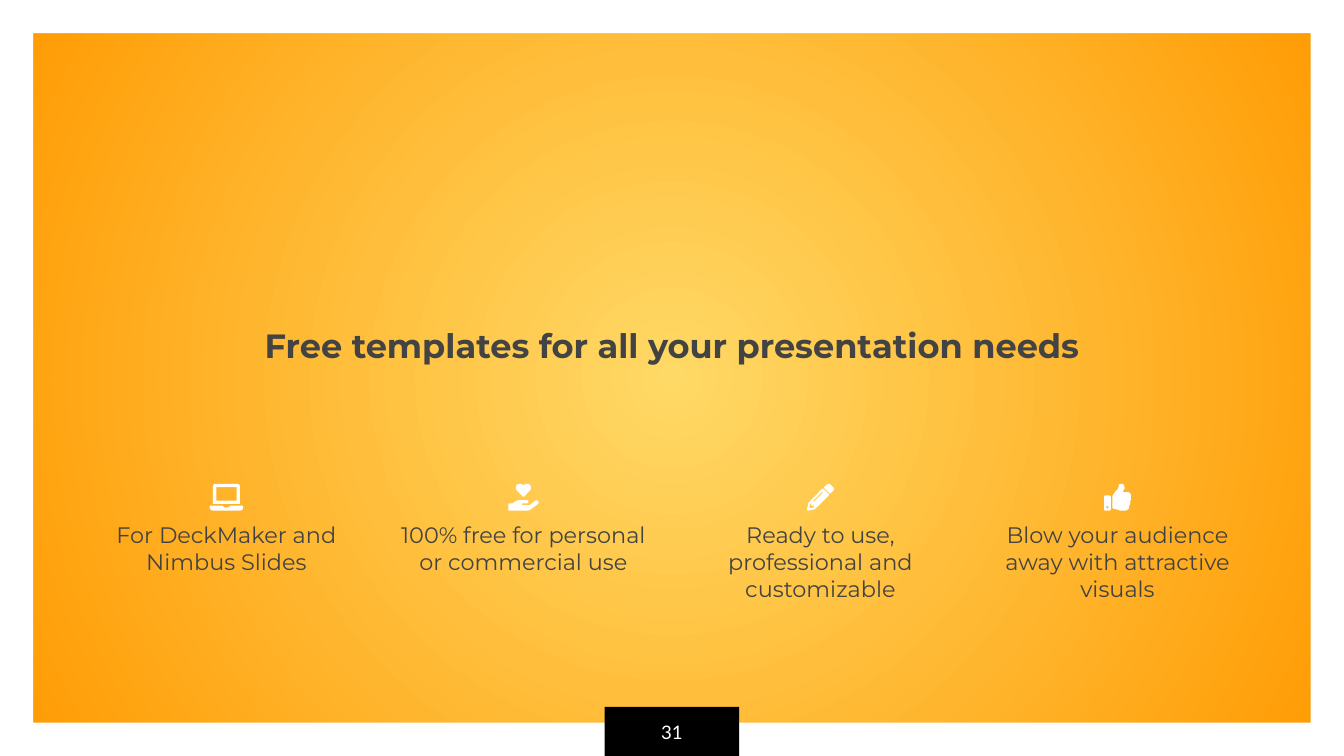
from lxml import etree
from pptx import Presentation
from pptx.dml.color import RGBColor
from pptx.enum.shapes import MSO_SHAPE
from pptx.enum.text import MSO_ANCHOR, MSO_AUTO_SIZE, PP_ALIGN
from pptx.oxml.ns import qn
from pptx.util import Inches, Pt

FRAME, RECTANGLE = MSO_SHAPE.FRAME, MSO_SHAPE.RECTANGLE
TOP, MIDDLE = MSO_ANCHOR.TOP, MSO_ANCHOR.MIDDLE
CENTER = PP_ALIGN.CENTER
NO_AUTOFIT = MSO_AUTO_SIZE.NONE

WHITE = RGBColor(0xFF, 0xFF, 0xFF)
BLACK = RGBColor(0x00, 0x00, 0x00)
GRAY = RGBColor(0x43, 0x43, 0x43)
YELLOW = RGBColor(0xFF, 0xD9, 0x66)
ORANGE = RGBColor(0xFF, 0x99, 0x00)

TITLE_ONLY = 5
SLIDE_W = 10
SLIDE_H = SLIDE_W * 9 / 16

# Feature columns, in inches
COLUMN_LEFT, COLUMN_STEP, COLUMN_W = 0.76, 2.21, 1.85
ICON_TOP, CAPTION_TOP, CAPTION_H = 3.6, 3.88, 0.7

# Icon outlines: closed contours in thousandths of an inch
ICON_UNIT = Inches(1) / 1000
LAPTOP = [
    # Lid, screen, base
    [(25, 150), (25, 18), (31, 5), (43, 0), (207, 0), (219, 5), (225, 18), (225, 150)],
    [(50, 25), (50, 125), (200, 125), (200, 25)],
    [(0, 168), (3, 163), (100, 163), (103, 172), (110, 175), (140, 175),
     (147, 172), (150, 163), (247, 163), (250, 168), (250, 175), (246, 189),
     (238, 197), (225, 200), (25, 200), (12, 197), (4, 189), (0, 175)],
]
HEART_IN_HAND = [
    # Heart, hand
    [(112, 13), (119, 6), (130, 0), (145, 0), (158, 6), (166, 17), (169, 30),
     (166, 42), (160, 51), (117, 95), (112, 97), (108, 95), (64, 51), (58, 42),
     (56, 30), (58, 17), (66, 6), (80, 0), (94, 0), (105, 6)],
    [(80, 122), (64, 125), (50, 131), (32, 146), (6, 146), (2, 148), (0, 152),
     (0, 194), (2, 198), (6, 200), (145, 200), (154, 198), (162, 194), (220, 151),
     (224, 146), (225, 138), (222, 129), (215, 124), (208, 122), (200, 125),
     (168, 152), (160, 157), (150, 159), (106, 159), (101, 157), (100, 152),
     (102, 148), (106, 146), (138, 146), (146, 143), (150, 136), (150, 129),
     (146, 124), (138, 122)],
]
PENCIL = [
    # Eraser, body, groove, tip
    [(127, 25), (147, 6), (155, 1), (163, 0), (172, 3), (194, 25), (199, 33),
     (200, 42), (196, 50), (176, 71), (172, 73), (168, 71), (127, 32)],
    [(114, 36), (11, 141), (0, 190), (2, 198), (9, 200), (58, 189), (162, 86),
     (164, 82), (162, 78), (122, 38), (118, 36)],
    [(114, 62), (117, 65), (116, 70), (55, 130), (50, 131), (47, 128), (48, 124),
     (108, 64)],
    [(32, 143), (32, 162), (50, 162), (50, 176), (25, 182), (18, 175), (23, 149)],
]
THUMB_UP = [
    # Cuff, button, hand
    [(9, 87), (3, 90), (0, 97), (0, 191), (3, 197), (9, 200), (41, 200),
     (47, 197), (50, 191), (50, 97), (47, 90), (41, 87)],
    [(25, 166), (32, 169), (34, 175), (32, 181), (25, 184), (18, 181), (16, 175),
     (18, 169)],
    [(122, 0), (114, 3), (110, 12), (107, 27), (100, 42), (87, 54), (72, 76),
     (66, 84), (62, 92), (62, 178), (65, 184), (72, 186), (90, 190), (112, 197),
     (125, 200), (155, 200), (170, 197), (181, 190), (186, 178), (186, 165),
     (193, 155), (196, 143), (194, 131), (199, 122), (200, 110), (197, 102),
     (200, 94), (200, 84), (196, 73), (189, 66), (180, 63), (139, 63), (142, 54),
     (150, 42), (153, 30), (150, 13), (143, 4), (132, 0)],
]

FEATURES = [
    (LAPTOP, "For DeckMaker and Nimbus Slides"),
    (HEART_IN_HAND, "100% free for personal or commercial use"),
    (PENCIL, "Ready to use, professional and customizable"),
    (THUMB_UP, "Blow your audience away with attractive visuals"),
]


def set_background(slide):
    """Radial gradient, yellow in the centre and orange at the edge."""
    fill = slide.background.fill
    fill.gradient()
    for stop, color, position in zip(fill.gradient_stops, (YELLOW, ORANGE), (0, 1)):
        stop.color.rgb = color
        stop.position = position
    gradient = slide.element.find(".//" + qn("a:gradFill"))
    linear = gradient.find(qn("a:lin"))
    if linear is not None:
        gradient.remove(linear)
    circle = etree.SubElement(gradient, qn("a:path"), {"path": "circle"})
    etree.SubElement(circle, qn("a:fillToRect"), dict.fromkeys("ltrb", "50000"))


def paint(shape, color):
    shape.shadow.inherit = False
    shape.fill.solid()
    shape.fill.fore_color.rgb = color
    shape.line.fill.background()


def add_block(slide, kind, left, top, width, height, color):
    block = slide.shapes.add_shape(
        kind, Inches(left), Inches(top), Inches(width), Inches(height))
    paint(block, color)
    return block


def set_text(shape, text, size, font, color, bold=False, anchor=TOP, margin=0):
    frame = shape.text_frame
    frame.word_wrap = True
    frame.auto_size = NO_AUTOFIT
    frame.vertical_anchor = anchor
    frame.margin_left = frame.margin_right = Inches(margin)
    frame.margin_top = frame.margin_bottom = Inches(margin)
    frame.text = text
    paragraph = frame.paragraphs[0]
    paragraph.alignment = CENTER
    run_font = paragraph.runs[0].font
    run_font.size = Pt(size)
    run_font.name = font
    run_font.bold = bold
    run_font.color.rgb = color


def add_title(slide, text):
    title = slide.shapes.title
    title.left, title.top = Inches(1.21), Inches(2.42)
    title.width, title.height = Inches(7.58), Inches(0.29)
    set_text(title, text, 18, "Montserrat", GRAY, bold=True)


def add_icon(shapes, contours, center):
    """Draw the contours as one white outline, centred on its column."""
    width = max(x for contour in contours for x, _ in contour) / 1000
    builder = shapes.build_freeform(*contours[0][0], scale=ICON_UNIT)
    for number, contour in enumerate(contours):
        if number:
            builder.move_to(*contour[0])
        builder.add_line_segments(contour[1:], close=True)
    icon = builder.convert_to_shape(Inches(center - width / 2), Inches(ICON_TOP))
    paint(icon, WHITE)


def add_feature(slide, left, contours, text):
    shapes = slide.shapes.add_group_shape().shapes
    caption = shapes.add_textbox(
        Inches(left), Inches(CAPTION_TOP), Inches(COLUMN_W), Inches(CAPTION_H))
    set_text(caption, text, 12, "Montserrat", GRAY)
    add_icon(shapes, contours, left + COLUMN_W / 2)


def add_page_number(slide, text):
    place = 4.5, 5.26, 1, 0.37
    add_block(slide, RECTANGLE, *place, BLACK)
    number = slide.shapes.add_textbox(*map(Inches, place))
    set_text(number, text, 10, "Lato", WHITE, anchor=MIDDLE, margin=0.1)


def main():
    deck = Presentation()
    deck.slide_width, deck.slide_height = Inches(SLIDE_W), Inches(SLIDE_H)
    slide = deck.slides.add_slide(deck.slide_layouts[TITLE_ONLY])

    # Backdrop
    set_background(slide)
    border = add_block(slide, FRAME, 0, 0, SLIDE_W, SLIDE_H, WHITE)
    border.adjustments[0] = 0.044

    # Content
    add_title(slide, "Free templates for all your presentation needs")
    for column, (contours, text) in enumerate(FEATURES):
        add_feature(slide, COLUMN_LEFT + column * COLUMN_STEP, contours, text)
    add_page_number(slide, "31")

    deck.save("out.pptx")


if __name__ == "__main__":
    main()
